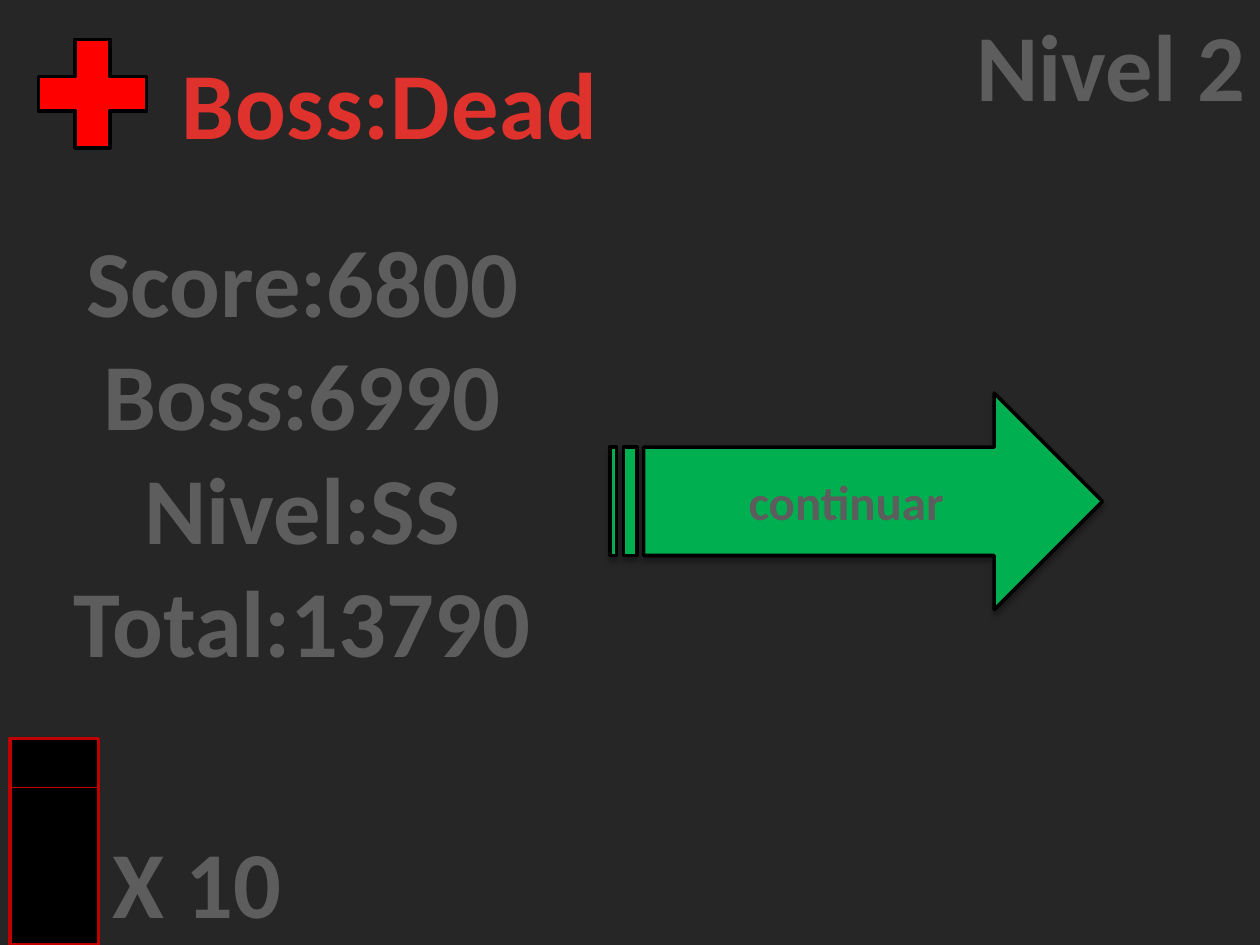
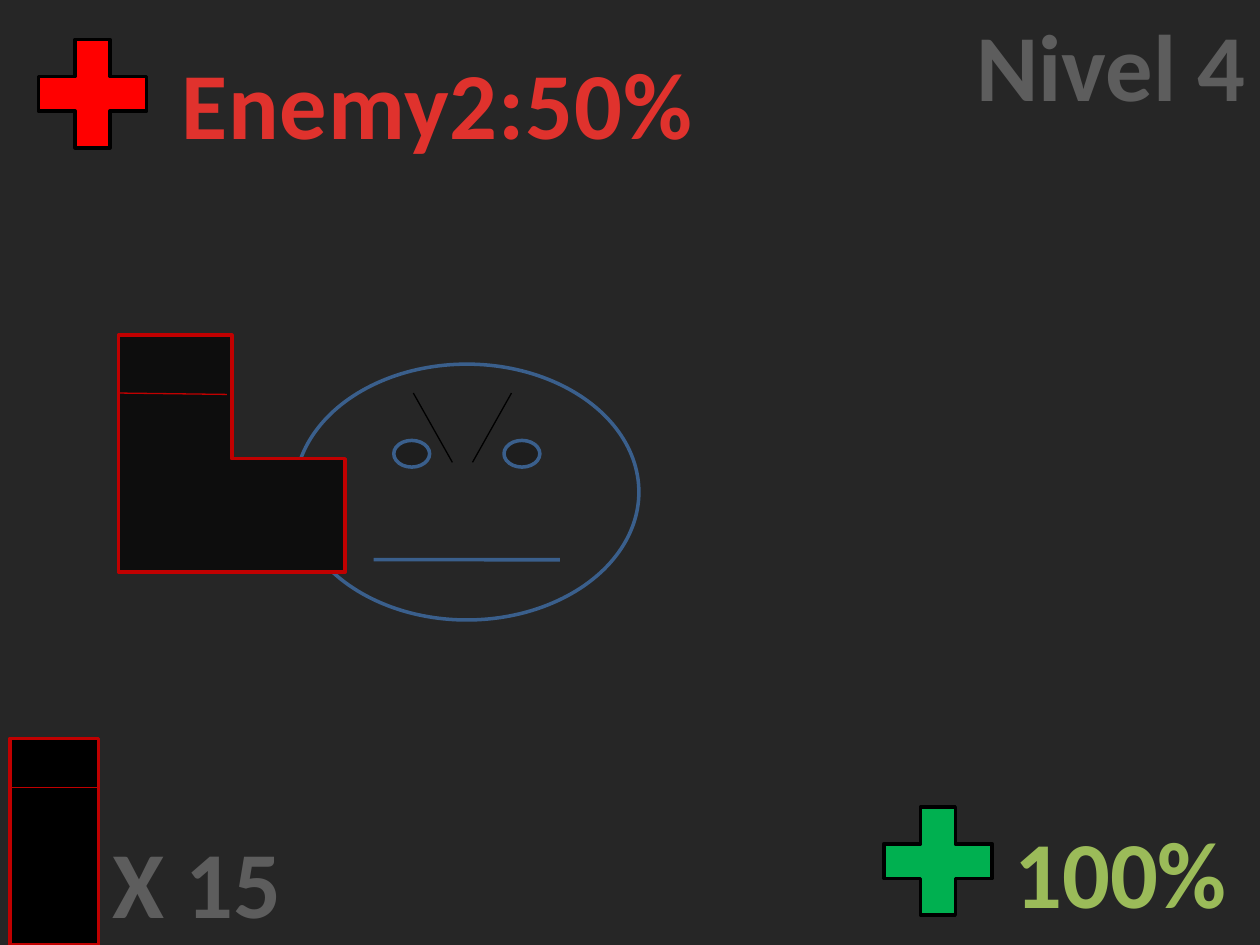
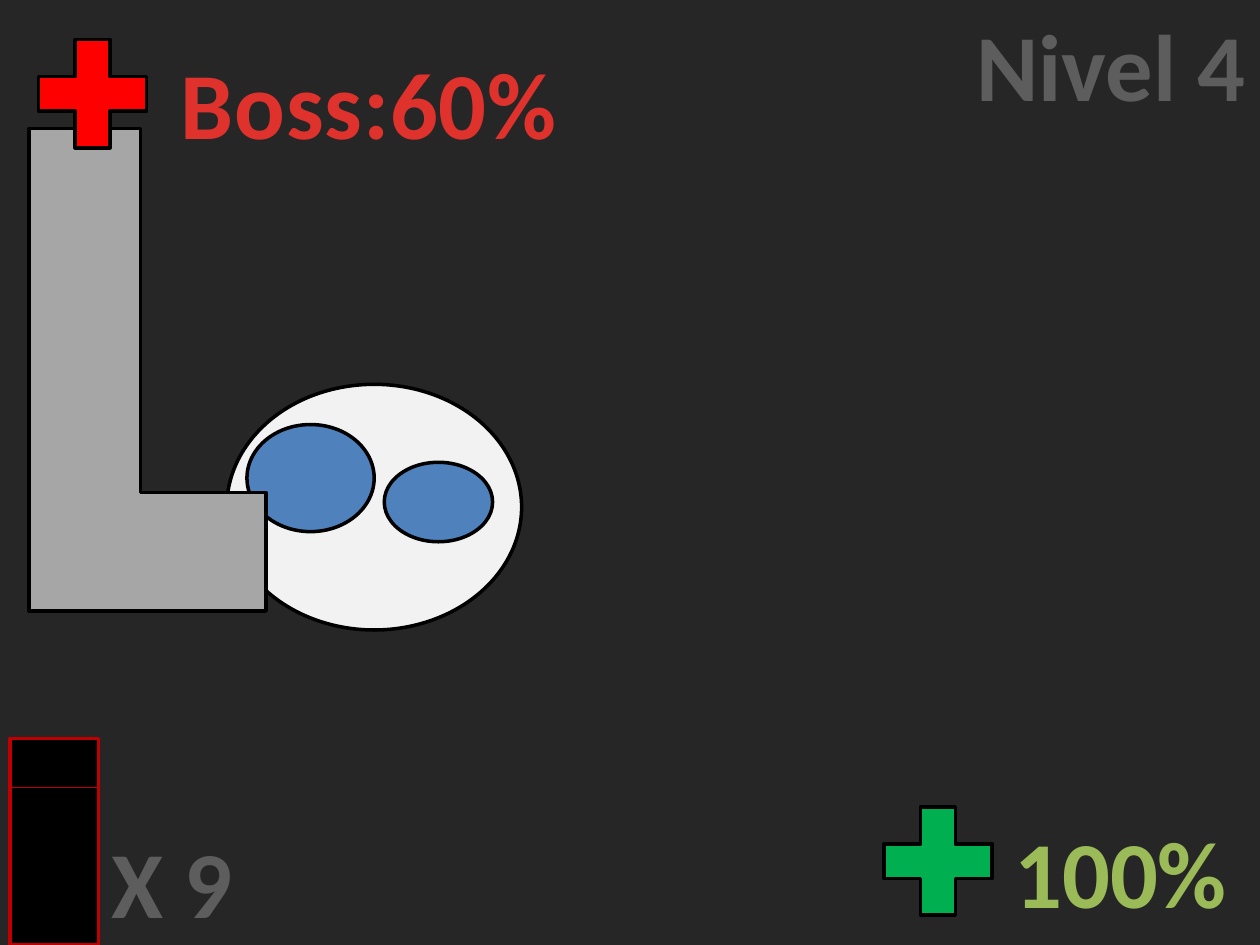
from dataclasses import dataclass
from typing import Optional

from lxml import etree
from pptx import Presentation
from pptx import util as u
from pptx.dml.color import RGBColor
from pptx.enum import shapes, text
from pptx.oxml.ns import qn

KIND = shapes.MSO_SHAPE


@dataclass(frozen=True)
class Theme:
    font: str = "Calibri"
    large: float = 54
    small: float = 28
    thick: float = 2
    thin: float = 0.75
    back: str = "262626"
    grey: str = "5D5D5D"
    alert: str = "E0322D"
    health: str = "9BBB59"
    red: str = "FF0000"
    green: str = "00B050"
    black: str = "000000"
    boot: str = "0D0D0D"
    edge: str = "C00000"
    steel: str = "3A5F8C"
    blue: str = "4F81BD"
    white: str = "F2F2F2"
    metal: str = "A6A6A6"


T = Theme()


@dataclass(frozen=True)
class Box:
    left: float
    top: float
    width: float
    height: float

    def points(self) -> tuple:
        return tuple(u.Pt(n) for n in (self.left, self.top, self.width, self.height))


@dataclass(frozen=True)
class Form:
    kind: KIND
    box: Box
    fill: str
    edge: str = T.black
    adjust: tuple = ()


@dataclass(frozen=True)
class Line:
    start: tuple
    end: tuple
    color: str


@dataclass(frozen=True)
class Label:
    words: str
    box: Box
    color: str
    spread: int = 0


@dataclass(frozen=True)
class Level:
    title: str
    enemy: str
    enemy_width: float
    ammo: str
    ammo_width: float
    health: Optional[str] = None
    scene: tuple = ()
    scores: tuple = ()


TITLE = Box(550, 0, 170, 72.7)
SCORES = Box(33.8, 123.8, 277.9, 269.3)
ARROW = Form(KIND.STRIPED_RIGHT_ARROW, Box(348.5, 224.6, 281.5, 123.8), T.green)

FACE = (
    Form(KIND.SMILEY_FACE, Box(168.5, 208.1, 196.6, 146.2), T.back, T.steel, (0,)),
    Form(KIND.CORNER, Box(67.7, 191.5, 129.6, 135.4), T.boot, T.edge),
    Line((236.2, 224.6), (258.5, 264.2), T.black),
    Line((292.3, 224.6), (270, 264.2), T.black),
    Line((67.7, 224.6), (129.6, 225.4), T.edge),
)
BOSS = (
    Form(KIND.OVAL, Box(129.6, 219.6, 168.5, 140.4), T.white),
    Form(KIND.OVAL, Box(141.1, 242.6, 72.7, 61.2), T.blue),
    Form(KIND.OVAL, Box(219.6, 264.2, 61.9, 45.4), T.blue),
    Form(KIND.CORNER, Box(16.6, 73.4, 135.4, 275.8), T.metal, T.black, (0.5, 0.47)),
)
LEVELS = (
    Level("Nivel 2", "Boss:Dead", 255.6, "X 10", 112.3,
          scores=("Score:6800", "Boss:6990", "Nivel:SS", "Total:13790")),
    Level("Nivel 4", "Enemy2:50%", 309.6, "X 15", 112.3, "100%", FACE),
    Level("Nivel 4", "Boss:60%", 231.8, "X 9", 84.2, "100%", BOSS),
)


def tint(value: str) -> RGBColor:
    return RGBColor.from_string(value)


def write(frame, lines: tuple, color: str, size: float = T.large, spread: int = 0) -> None:
    """Fill a text frame with centred bold lines."""
    frame.word_wrap = False
    frame.auto_size = text.MSO_AUTO_SIZE.NONE
    for i, words in enumerate(lines):
        para = frame.paragraphs[0] if i == 0 else frame.add_paragraph()
        para.alignment = text.PP_ALIGN.CENTER
        para.space_before = u.Pt(0)
        run = para.add_run()
        run.text = words
        font = run.font
        font.name, font.size, font.bold = T.font, u.Pt(size), True
        font.color.rgb = tint(color)
        if spread:
            font._element.set("spc", str(spread))


def draw_form(canvas, form: Form):
    shape = canvas.add_shape(form.kind, *form.box.points())
    shape.shadow.inherit = False
    shape.fill.solid()
    shape.fill.fore_color.rgb = tint(form.fill)
    shape.line.color.rgb = tint(form.edge)
    shape.line.width = u.Pt(T.thick)
    for i, value in enumerate(form.adjust):
        shape.adjustments[i] = value
    return shape


def draw_line(canvas, line: Line) -> None:
    ends = [u.Pt(n) for n in line.start + line.end]
    stroke = canvas.add_connector(shapes.MSO_CONNECTOR.STRAIGHT, *ends)
    stroke.line.color.rgb = tint(line.color)
    stroke.line.width = u.Pt(T.thin)
    etree.SubElement(stroke._element.spPr, qn("a:effectLst"))


def draw_label(canvas, label: Label) -> None:
    frame = canvas.add_textbox(*label.box.points()).text_frame
    write(frame, (label.words,), label.color, spread=label.spread)


DRAW = {Form: draw_form, Line: draw_line, Label: draw_label}


def draw_group(slide, *parts) -> None:
    group = slide.shapes.add_group_shape()
    for part in parts:
        DRAW[type(part)](group.shapes, part)


def plus(left: float, top: float, fill: str) -> Form:
    return Form(KIND.MATH_PLUS, Box(left, top, 84.2, 84.2), fill)


def place(holder, box: Box) -> None:
    holder.left, holder.top, holder.width, holder.height = box.points()


def cast_shadow(shape) -> None:
    """Put a soft shadow below the shape."""
    effects = shape._element.spPr.find(qn("a:effectLst"))
    shadow = etree.SubElement(effects, qn("a:outerShdw"), blurRad=str(u.Pt(3.5)),
                              dist=str(u.Pt(2.2)), dir="5400000", rotWithShape="0")
    color = etree.SubElement(shadow, qn("a:srgbClr"), val=T.black)
    etree.SubElement(color, qn("a:alpha"), val="32000")


def add_scores(slide, scores: tuple) -> None:
    body = slide.placeholders[1]
    place(body, SCORES)
    write(body.text_frame, scores, T.grey)
    for para in body.text_frame.paragraphs:
        props = para._p.get_or_add_pPr()
        props.set("marL", "0")
        props.set("indent", "0")
        etree.SubElement(props, qn("a:buNone"))
    arrow = draw_form(slide.shapes, ARROW)
    cast_shadow(arrow)
    write(arrow.text_frame, ("continuar",), T.grey, T.small)


def add_level(deck, level: Level) -> None:
    slide = deck.slides.add_slide(deck.slide_layouts[1 if level.scores else 5])
    title = slide.shapes.title
    place(title, TITLE)
    write(title.text_frame, (level.title,), T.grey)
    if level.scene:
        draw_group(slide, *level.scene)
    draw_group(
        slide,
        Form(KIND.RECTANGLE, Box(5.8, 421.9, 50.4, 118.1), T.black, T.edge),
        Line((5.8, 450), (56.2, 450), T.edge),
        Label(level.ammo, Box(56.2, 467.3, level.ammo_width, 72.7), T.grey),
    )
    draw_group(
        slide,
        Label(level.enemy, Box(95, 22.3, level.enemy_width, 72.7), T.alert, 50),
        plus(10.8, 11.5, T.red),
    )
    if level.health:
        draw_group(
            slide,
            plus(493.9, 450, T.green),
            Label(level.health, Box(571.7, 461.5, 137.5, 72.7), T.health),
        )
    if level.scores:
        add_scores(slide, level.scores)


def main() -> None:
    deck = Presentation()
    deck.slide_width, deck.slide_height = u.Pt(720), u.Pt(540)
    fill = deck.slide_master.background.fill
    fill.solid()
    fill.fore_color.rgb = tint(T.back)
    for level in LEVELS:
        add_level(deck, level)
    deck.save("out.pptx")


if __name__ == "__main__":
    main()
